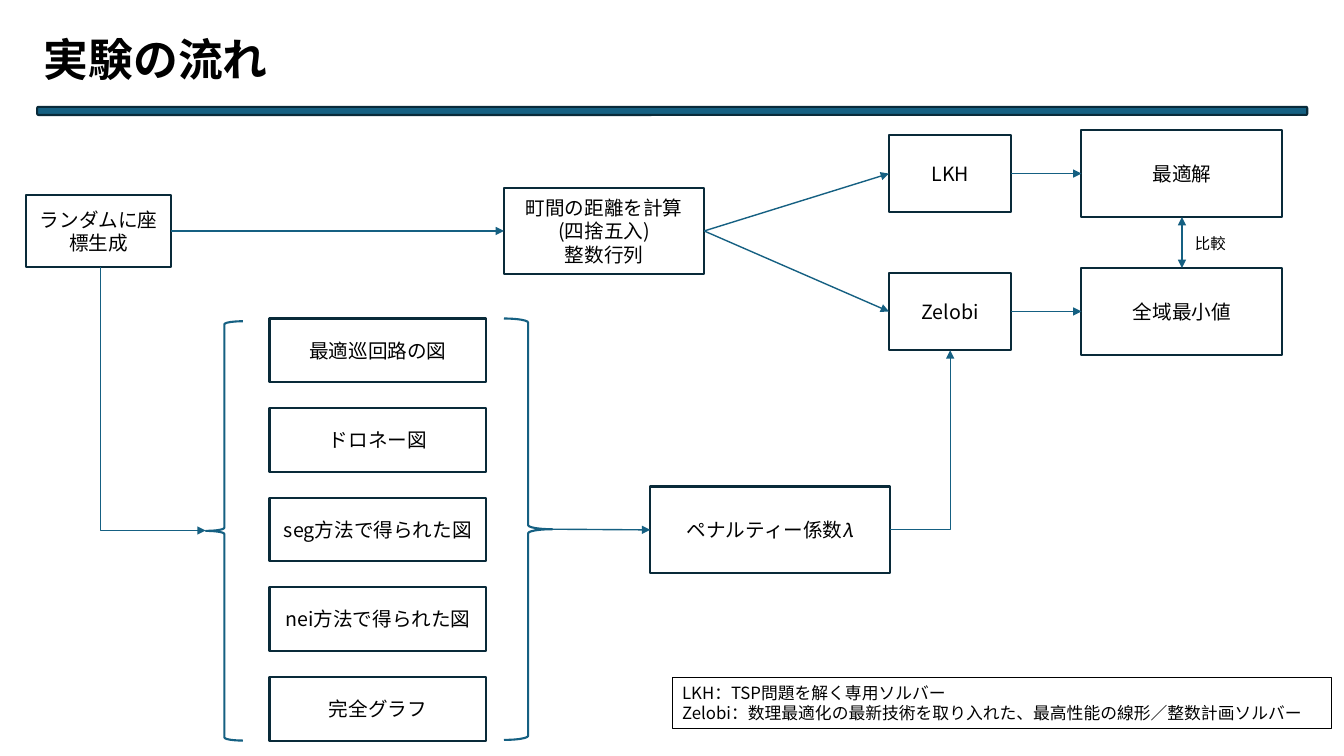
from lxml.etree import SubElement
from pptx import Presentation
from pptx.dml.color import RGBColor
from pptx.enum.shapes import MSO_CONNECTOR, MSO_SHAPE
from pptx.enum.text import MSO_ANCHOR, MSO_AUTO_SIZE, PP_ALIGN
from pptx.oxml.ns import qn
from pptx.util import Pt

WHITE = RGBColor(0xFF, 0xFF, 0xFF)
BLACK = RGBColor(0, 0, 0)
TEAL = RGBColor(0x15, 0x60, 0x82)
NAVY = RGBColor(0x09, 0x2A, 0x39)
FONT = "Noto Sans CJK SC"
TOP, LEFT, BOTTOM, RIGHT = range(4)

TITLE = "実験の流れ"
COMPARE = "比較"
NOTES = ["LKH：TSP問題を解く専用ソルバー",
         "Zelobi：数理最適化の最新技術を取り入れた、最高性能の線形／整数計画ソルバー"]
GRAPHS = ["最適巡回路の図", "ドロネー図", "seg方法で得られた図",
          "nei方法で得られた図", "完全グラフ"]

UPPER, MIDDLE, LOWER, PENALTY_ROW = 123, 163.5, 222.5, 378.5
STEPS = {
    "random": (["ランダムに座標生成"], 18.7, MIDDLE + 1.5, 103.7, 52),
    "distance": (["町間の距離を計算(四捨五入)", "整数行列"], 360, MIDDLE + 1.5, 143, 62),
    "lkh": (["LKH"], 635, UPPER + 1, 87.5, 55.5),
    "zelobi": (["Zelobi"], 635, LOWER, 87.5, 55.5),
    "optimum": (["最適解"], 772.5, UPPER + 1, 143.5, 62),
    "minimum": (["全域最小値"], 772.5, LOWER, 143.5, 62),
    "penalty": (["ペナルティー係数𝜆"], 464.5, PENALTY_ROW, 171, 62),
}
LINKS = [
    ("random", RIGHT, "distance", LEFT, ["tailEnd"]),
    ("distance", RIGHT, "lkh", LEFT, ["tailEnd"]),
    ("distance", RIGHT, "zelobi", LEFT, ["tailEnd"]),
    ("lkh", RIGHT, "optimum", LEFT, ["tailEnd"]),
    ("zelobi", RIGHT, "minimum", LEFT, ["tailEnd"]),
    ("optimum", BOTTOM, "minimum", TOP, ["headEnd", "tailEnd"]),
]
GRAPH_LEFT, GRAPH_TOP, GRAPH_W, GRAPH_H, GRAPH_PITCH = 192.5, 227.5, 155, 45.5, 64
BRACES = [(MSO_SHAPE.LEFT_BRACE, 147, 229.5, 26.5, 299.5),
          (MSO_SHAPE.RIGHT_BRACE, 360, 227.5, 34.5, 301)]

TITLE_FRAME = dict(word_wrap=False, auto_size=MSO_AUTO_SIZE.NONE,
                   vertical_anchor=MSO_ANCHOR.TOP)
LABEL_FRAME = dict(word_wrap=False, vertical_anchor=MSO_ANCHOR.TOP)
BOX_FRAME = dict(word_wrap=True, vertical_anchor=MSO_ANCHOR.MIDDLE)
NOTE_FRAME = dict(word_wrap=True, vertical_anchor=MSO_ANCHOR.TOP)


def style(obj, fmt):
    for name, value in fmt.items():
        setattr(obj, name, value)


def write(sp, lines, size, frame, align=PP_ALIGN.LEFT, bold=False):
    tf = sp.text_frame
    style(tf, frame)
    for i, line in enumerate(lines):
        p = tf.add_paragraph() if i else tf.paragraphs[0]
        p.alignment = align
        r = p.add_run()
        r.text = line
        style(r.font, dict(name=FONT, size=Pt(size), bold=bold))
        r.font.color.rgb = BLACK
        SubElement(r.font._element, qn("a:ea")).set("typeface", FONT)


def shape(s, kind, bounds, line, width=1.5, fill=None):
    sp = s.shapes.add_shape(kind, *map(Pt, bounds))
    sp.shadow.inherit = False
    if fill is None:
        sp.fill.background()
    else:
        sp.fill.solid()
        sp.fill.fore_color.rgb = fill
    sp.line.color.rgb = line
    sp.line.width = Pt(width)
    return sp


def box(s, lines, *bounds):
    sp = shape(s, MSO_SHAPE.RECTANGLE, bounds, NAVY, fill=WHITE)
    write(sp, lines, 14, BOX_FRAME, PP_ALIGN.CENTER)
    return sp


def arrow(s, points=(0, 0, 0, 0), ends=("tailEnd",), bent=False):
    kind = MSO_CONNECTOR.ELBOW if bent else MSO_CONNECTOR.STRAIGHT
    c = s.shapes.add_connector(kind, *map(Pt, points))
    c.line.color.rgb = TEAL
    c.line.width = Pt(1)
    spPr = c._element.spPr
    if bent:
        spPr.find(qn("a:prstGeom")).set("prst", "bentConnector2")
    for end in ends:
        SubElement(spPr.find(qn("a:ln")), qn("a:" + end)).set("type", "triangle")
    SubElement(spPr, qn("a:effectLst"))
    return c


def main():
    prs = Presentation()
    style(prs, dict(slide_width=Pt(960), slide_height=Pt(540)))
    s = prs.slides.add_slide(prs.slide_layouts[5])

    title = s.shapes.title
    style(title, dict(left=Pt(24), top=Pt(18.7), width=Pt(176.5), height=Pt(46)))
    write(title, [TITLE], 32, TITLE_FRAME, bold=True)
    shape(s, MSO_SHAPE.ROUNDED_RECTANGLE, (26.6, 76.3, 907.2, 5.8), NAVY, fill=TEAL)

    boxes = {name: box(s, lines, x, mid - h / 2, w, h)
             for name, (lines, x, mid, w, h) in STEPS.items()}
    for i, graph in enumerate(GRAPHS):
        box(s, [graph], GRAPH_LEFT, GRAPH_TOP + i * GRAPH_PITCH, GRAPH_W, GRAPH_H)
    for kind, *bounds in BRACES:
        shape(s, kind, bounds, TEAL)

    for start, side, end, end_side, heads in LINKS:
        c = arrow(s, ends=heads)
        c.begin_connect(boxes[start], side)
        c.end_connect(boxes[end], end_side)
    c = arrow(s, (394.5, 378, 464.5, PENALTY_ROW))
    c.end_connect(boxes["penalty"], LEFT)
    arrow(s, (635.5, PENALTY_ROW, 678.75, LOWER + 27.75), bent=True)
    arrow(s, (147, PENALTY_ROW + 0.5, 72, MIDDLE + 27.5), ["headEnd"], bent=True)

    label = s.shapes.add_textbox(Pt(846.5), Pt(163.5), Pt(36.5), Pt(20.6))
    write(label, [COMPARE], 11, LABEL_FRAME)
    note = shape(s, MSO_SHAPE.RECTANGLE, (480.2, 484, 471, 36.3), BLACK, 0.75)
    write(note, NOTES, 12, NOTE_FRAME)

    prs.save("out.pptx")


if __name__ == "__main__":
    main()
